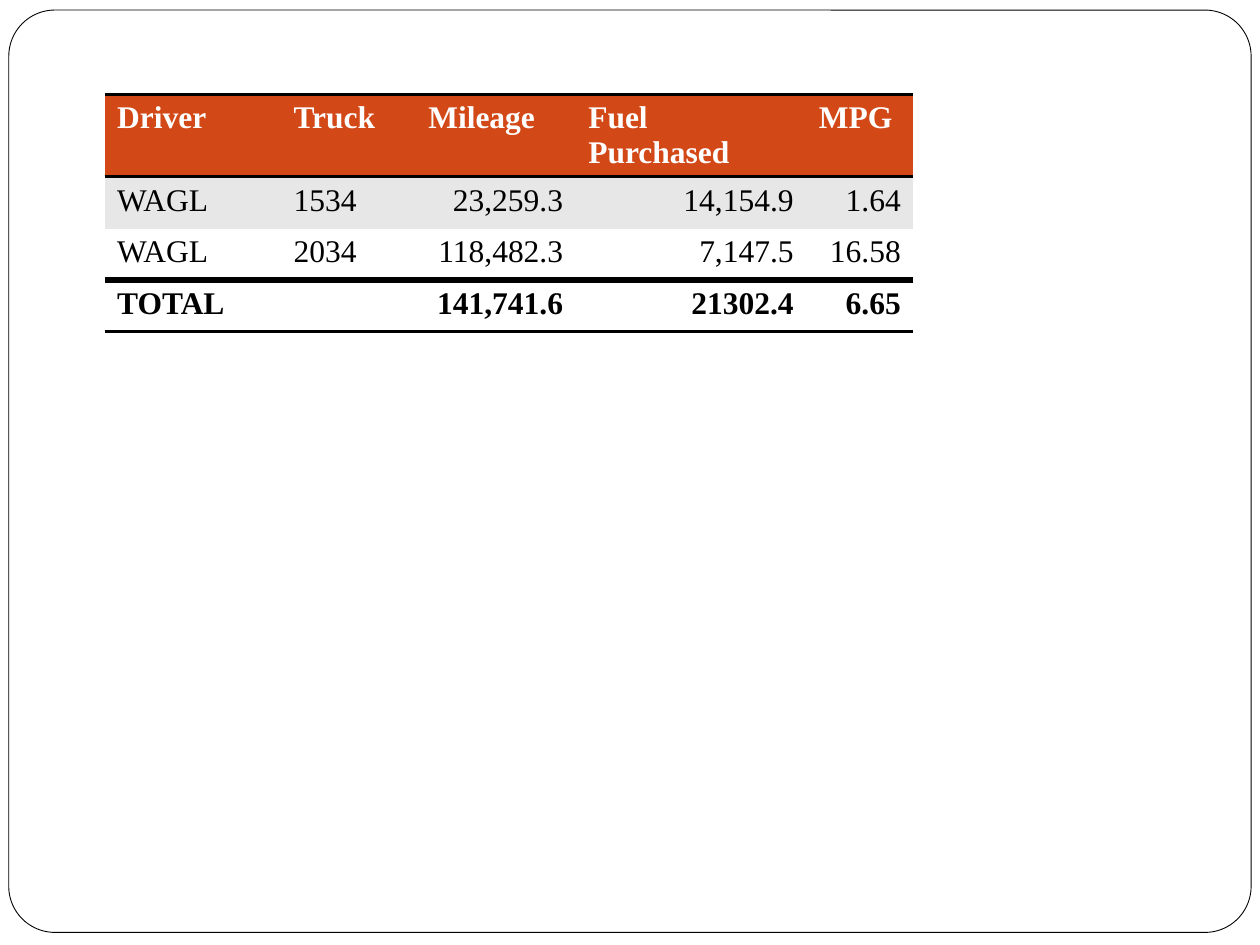
import pptx
import pptx.dml.color
import pptx.enum.shapes
import pptx.enum.text
import pptx.oxml.ns
import pptx.util
from lxml import etree

Inches = pptx.util.Inches
Pt = pptx.util.Pt
ALIGN = pptx.enum.text.PP_ALIGN
HUES = {"ink": "000000", "paper": "FFFFFF", "head": "D34817", "band": "E7E7E7"}

COLS = [1.4, 1.07, 1.27, 1.83, 0.85]
ROWS = [
    ["Driver", "Truck", "Mileage", "Fuel Purchased", "MPG"],
    ["WAGL", "1534", "23,259.3", "14,154.9", "1.64"],
    ["WAGL", "2034", "118,482.3", "7,147.5", "16.58"],
    ["TOTAL", "", "141,741.6", "21302.4", "6.65"],
]
FILLS = ["head", "band", "paper", "paper"]
RULES = [2, 2, 0, 4, 2]  # line widths above, between and below the rows


def tint(name):
    return pptx.dml.color.RGBColor.from_string(HUES[name])


def write(frame, text, size=18, font="Times New Roman", hue="ink",
          bold=False, align=ALIGN.LEFT):
    para = frame.paragraphs[0]
    para.alignment = align
    para.font.size = Pt(size)
    if text:
        run = para.add_run()
        run.text = text
        run.font.name = font
        run.font.size = Pt(size)
        run.font.bold = bold
        run.font.color.rgb = tint(hue)


def edge(cell, top, base):
    """Rule a cell above and below, in points; the sides stay bare."""
    props = cell._tc.get_or_add_tcPr()
    sides = [("a:lnL", 0), ("a:lnR", 0), ("a:lnT", top), ("a:lnB", base)]
    for place, (tag, width) in enumerate(sides):
        line = etree.Element(pptx.oxml.ns.qn(tag), w=str(Pt(width)))
        props.insert(place, line)
        if width:
            fill = etree.SubElement(line, pptx.oxml.ns.qn("a:solidFill"))
            etree.SubElement(fill, pptx.oxml.ns.qn("a:srgbClr"), val=HUES["ink"])
        else:
            etree.SubElement(line, pptx.oxml.ns.qn("a:noFill"))


class Deck:
    """Holds the current slide and draws in one style."""

    def __init__(self, show):
        self.slide = show.slides.add_slide(show.slide_layouts[6])

    def frame(self, left, top, width, height, bend):
        shape = self.slide.shapes.add_shape(
            pptx.enum.shapes.MSO_SHAPE.ROUNDED_RECTANGLE,
            Inches(left), Inches(top), Inches(width), Inches(height))
        shape.adjustments[0] = bend
        shape.shadow.inherit = False
        shape.fill.solid()
        shape.fill.fore_color.rgb = tint("paper")
        shape.line.color.rgb = tint("ink")
        shape.line.width = Pt(0.5)

    def table(self, left, top, tall):
        table = self.slide.shapes.add_table(
            len(ROWS), len(COLS), Inches(left), Inches(top),
            Inches(sum(COLS)), Inches(tall * len(ROWS))).table
        table.horz_banding = False
        for col, width in zip(table.columns, COLS):
            col.width = Inches(width)
        for r, texts in enumerate(ROWS):
            table.rows[r].height = Inches(tall)
            head = r == 0
            for c, text in enumerate(texts):
                cell = table.cell(r, c)
                cell.fill.solid()
                cell.fill.fore_color.rgb = tint(FILLS[r])
                edge(cell, RULES[r], RULES[r + 1])
                write(cell.text_frame, text,
                      hue="paper" if head else "ink",
                      bold=head or r == len(ROWS) - 1,
                      align=ALIGN.RIGHT if c > 1 and not head else ALIGN.LEFT)


def main():
    show = pptx.Presentation()
    show.slide_width, show.slide_height = Inches(10), Inches(7.5)
    deck = Deck(show)
    deck.frame(0.07, 0.08, 9.86, 7.32, bend=0.05)
    deck.table(0.83, 0.75, tall=0.41)
    show.save("out.pptx")


if __name__ == "__main__":
    main()
